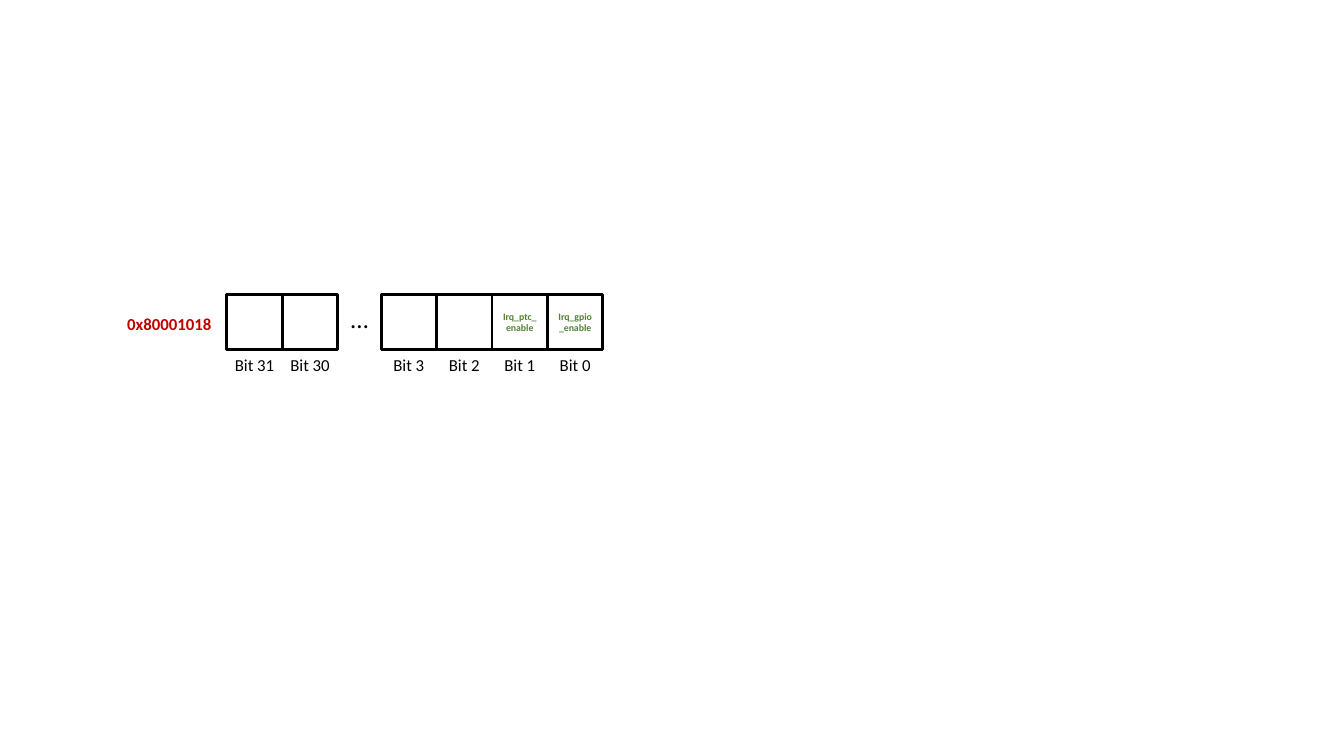
from dataclasses import dataclass

from pptx import Presentation
from pptx import util as u
from pptx.dml.color import RGBColor
from pptx.enum import shapes, text


@dataclass(frozen=True)
class Theme:
    font: str = "Calibri"
    ink: str = "000000"
    address: str = "C00000"
    field: str = "548235"
    field_size: int = 7
    label_size: int = 12
    gap_size: int = 18
    border: int = 2


THEME = Theme()
CELL = 0.55
GAP = 0.43
LEFT, TOP = 2.25, 2.92
LABEL_HEIGHT = 0.3
HIGH_BITS = (31, 30)
LOW_BITS = (3, 2, 1, 0)
FIELDS = {1: "Irq_ptc_enable", 0: "Irq_gpio_enable"}


def add_span(box, words, size, color, bold=False):
    para = box.text_frame.paragraphs[0]
    para.alignment = text.PP_ALIGN.CENTER
    span = para.add_run()
    span.text = words
    span.font.name = THEME.font
    span.font.size = u.Pt(size)
    span.font.bold = bold
    span.font.color.rgb = RGBColor.from_string(color)


def add_label(group, words, center, top, width, height, size, color, bold=False):
    """Place one unwrapped line of text centred on a horizontal position."""
    box = group.shapes.add_textbox(
        u.Inches(center - width / 2), u.Inches(top), u.Inches(width), u.Inches(height))
    box.text_frame.word_wrap = False
    box.text_frame.auto_size = text.MSO_AUTO_SIZE.SHAPE_TO_FIT_TEXT
    add_span(box, words, size, color, bold)


def add_cell(group, left, field):
    cell = group.shapes.add_shape(
        shapes.MSO_SHAPE.RECTANGLE,
        u.Inches(left), u.Inches(TOP), u.Inches(CELL), u.Inches(CELL))
    cell.shadow.inherit = False
    cell.fill.background()
    cell.line.color.rgb = RGBColor.from_string(THEME.ink)
    cell.line.width = u.Pt(THEME.border)
    if field:
        cell.text_frame.word_wrap = True
        cell.text_frame.vertical_anchor = text.MSO_ANCHOR.MIDDLE
        add_span(cell, field, THEME.field_size, THEME.field, bold=True)


def add_bits(group, bits, left):
    """Draw a run of adjoining bit cells with their numbers below."""
    for column, bit in enumerate(bits):
        cell_left = left + column * CELL
        add_cell(group, cell_left, FIELDS.get(bit))
        add_label(group, f"Bit {bit}", cell_left + CELL / 2, TOP + CELL,
                  0.6 if bit > 9 else 0.51, LABEL_HEIGHT,
                  THEME.label_size, THEME.ink)


def main():
    deck = Presentation()
    deck.slide_width, deck.slide_height = u.Inches(13.33), u.Inches(7.5)
    page = deck.slides.add_slide(deck.slide_layouts[6])
    register = page.shapes.add_group_shape()

    high_end = LEFT + len(HIGH_BITS) * CELL
    add_bits(register, HIGH_BITS, LEFT)
    add_label(register, "…", high_end + GAP / 2, TOP + 0.04, 0.38, 0.4,
              THEME.gap_size, THEME.ink)
    add_bits(register, LOW_BITS, high_end + GAP)
    add_label(register, "0x80001018", LEFT - CELL - 0.02, TOP + 0.14, 1.05,
              LABEL_HEIGHT, THEME.label_size, THEME.address, bold=True)

    deck.save("out.pptx")


if __name__ == "__main__":
    main()
